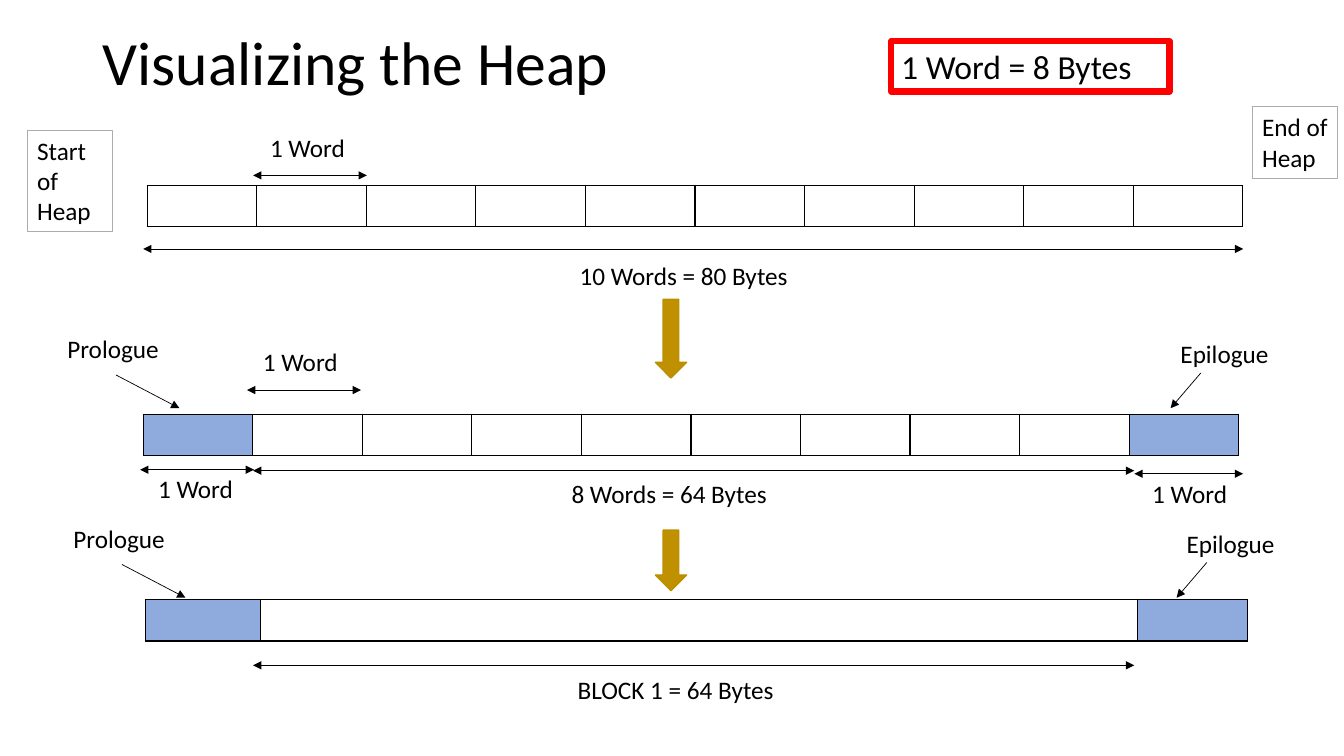
from lxml import etree
from pptx import Presentation
from pptx.dml.color import RGBColor
from pptx.enum.shapes import MSO_CONNECTOR, MSO_SHAPE
from pptx.enum.text import MSO_ANCHOR, PP_ALIGN
from pptx.oxml.ns import qn
from pptx.util import Inches, Pt

STRAIGHT = MSO_CONNECTOR.STRAIGHT
DOWN_ARROW = MSO_SHAPE.DOWN_ARROW
RECTANGLE = MSO_SHAPE.RECTANGLE
LEFT = PP_ALIGN.LEFT
TOP, MIDDLE = MSO_ANCHOR.TOP, MSO_ANCHOR.MIDDLE

BLACK = RGBColor(0x00, 0x00, 0x00)
RED = RGBColor(0xFF, 0x00, 0x00)
GREY = RGBColor(0xAF, 0xAB, 0xAB)
BLUE = RGBColor(0x8F, 0xAA, 0xDC)
GOLD = RGBColor(0xBF, 0x90, 0x00)
DARK_GOLD = RGBColor(0xBD, 0x8E, 0x00)

FONT = "Calibri"
ROW_HEIGHT = 0.41
WORD_WIDTH = 1.087


def write(shape, text, size, anchor=TOP):
    frame = shape.text_frame
    frame.word_wrap = True
    frame.vertical_anchor = anchor
    frame.text = text
    para = frame.paragraphs[0]
    para.alignment = LEFT
    para.font.name = FONT
    para.font.size = Pt(size)
    para.font.color.rgb = BLACK


def add_arrow(start, end, ends):
    """Draw a thin line with a triangle at each of the named ends."""
    arrow = page.shapes.add_connector(STRAIGHT, *map(Inches, start + end))
    arrow.line.color.rgb = BLACK
    arrow.line.width = Pt(0.5)
    line = arrow.line._get_or_add_ln()
    for name in ends:
        etree.SubElement(line, qn(f"a:{name}"), type="triangle")
    etree.SubElement(arrow._element.spPr, qn("a:effectLst"))


deck = Presentation()
deck.slide_width = Inches(13.33)
deck.slide_height = Inches(7.5)
page = deck.slides.add_slide(deck.slide_layouts[5])

title = page.shapes.title
title.left, title.top = Inches(0.92), Inches(0.01)
title.width, title.height = Inches(11.5), Inches(1.28)
write(title, "Visualizing the Heap", 44, MIDDLE)
title.text_frame.paragraphs[0].line_spacing = 0.9

# Heap rows: left, top, column widths, whether the end cells are reserved
heap_rows = [
    (1.46, 1.84, [WORD_WIDTH] * 10, False),
    (1.42, 4.11, [WORD_WIDTH] * 10, True),
    (1.44, 5.95, [1.14, 8.7, 1.09], True),
]
for left, top, widths, reserved in heap_rows:
    frame = page.shapes.add_table(1, len(widths), Inches(left), Inches(top),
                                  Inches(sum(widths)), Inches(ROW_HEIGHT))
    table = frame.table
    table.first_row = False
    table.horz_banding = False
    for index, width in enumerate(widths):
        table.columns[index].width = Inches(width)
        cell = table.cell(0, index)
        properties = cell._tc.get_or_add_tcPr()
        for side in ("lnL", "lnR", "lnT", "lnB"):
            border = etree.SubElement(properties, qn(f"a:{side}"), w=str(Pt(1)))
            fill = etree.SubElement(border, qn("a:solidFill"))
            etree.SubElement(fill, qn("a:srgbClr"), val=str(BLACK))
        if reserved and index in (0, len(widths) - 1):
            cell.fill.solid()
            cell.fill.fore_color.rgb = BLUE
        else:
            cell.fill.background()

# Framed notes
notes = [
    ("1 Word = 8 Bytes", 24, 8.84, 0.41, 2.76, 0.5, RED, 4.5),
    ("Start of Heap", 18, 0.27, 1.29, 0.85, 1.01, GREY, 0.75),
    ("End of Heap", 18, 12.42, 1.06, 0.85, 0.71, GREY, 0.75),
]
for text, size, left, top, width, height, color, weight in notes:
    note = page.shapes.add_shape(RECTANGLE, Inches(left), Inches(top),
                                 Inches(width), Inches(height))
    note.shadow.inherit = False
    note.fill.background()
    note.line.color.rgb = color
    note.line.width = Pt(weight)
    write(note, text, size)

# Steps from one heap row to the next
for top, height in [(2.97, 0.78), (5.26, 0.6)]:
    step = page.shapes.add_shape(DOWN_ARROW, Inches(6.5), Inches(top),
                                 Inches(0.31), Inches(height))
    step.shadow.inherit = False
    step.fill.solid()
    step.fill.fore_color.rgb = GOLD
    step.line.color.rgb = DARK_GOLD
    step.line.width = Pt(1)

# Measures: left end, right end, height of the double arrow
for left, right, y in [
    (2.51, 3.64, 1.74), (1.42, 12.33, 2.47), (2.45, 3.58, 3.87),
    (1.39, 2.52, 4.66), (2.51, 11.25, 4.67), (11.25, 12.33, 4.7),
    (2.51, 11.25, 6.6),
]:
    add_arrow((left, y), (right, y), ("headEnd", "tailEnd"))

labels = [
    ("1 Word", 2.58, 1.26, 1),
    ("10 Words = 80 Bytes", 5.65, 2.53, 2.49),
    ("1 Word", 2.51, 3.39, 1),
    ("1 Word", 1.47, 4.65, 1),
    ("8 Words = 64 Bytes", 5.57, 4.7, 2.49),
    ("1 Word", 11.33, 4.7, 1),
    ("BLOCK 1 = 64 Bytes", 5.63, 6.64, 2.19),
]

# Prologue and epilogue pointers, repeated above the lower two rows
for dx, dy in [(0, 0), (0.06, 1.88)]:
    labels.append(("Prologue", 0.57 + dx, 3.26 + dy, 1.16))
    labels.append(("Epilogue", 11.61 + dx, 3.31 + dy, 1.16))
    add_arrow((1.15 + dx, 3.72 + dy), (1.78 + dx, 4.05 + dy), ("tailEnd",))
    add_arrow((11.91 + dx, 3.7 + dy), (11.61 + dx, 4.05 + dy), ("tailEnd",))

for text, left, top, width in labels:
    box = page.shapes.add_textbox(Inches(left), Inches(top),
                                  Inches(width), Inches(0.4))
    write(box, text, 18)

deck.save("out.pptx")
